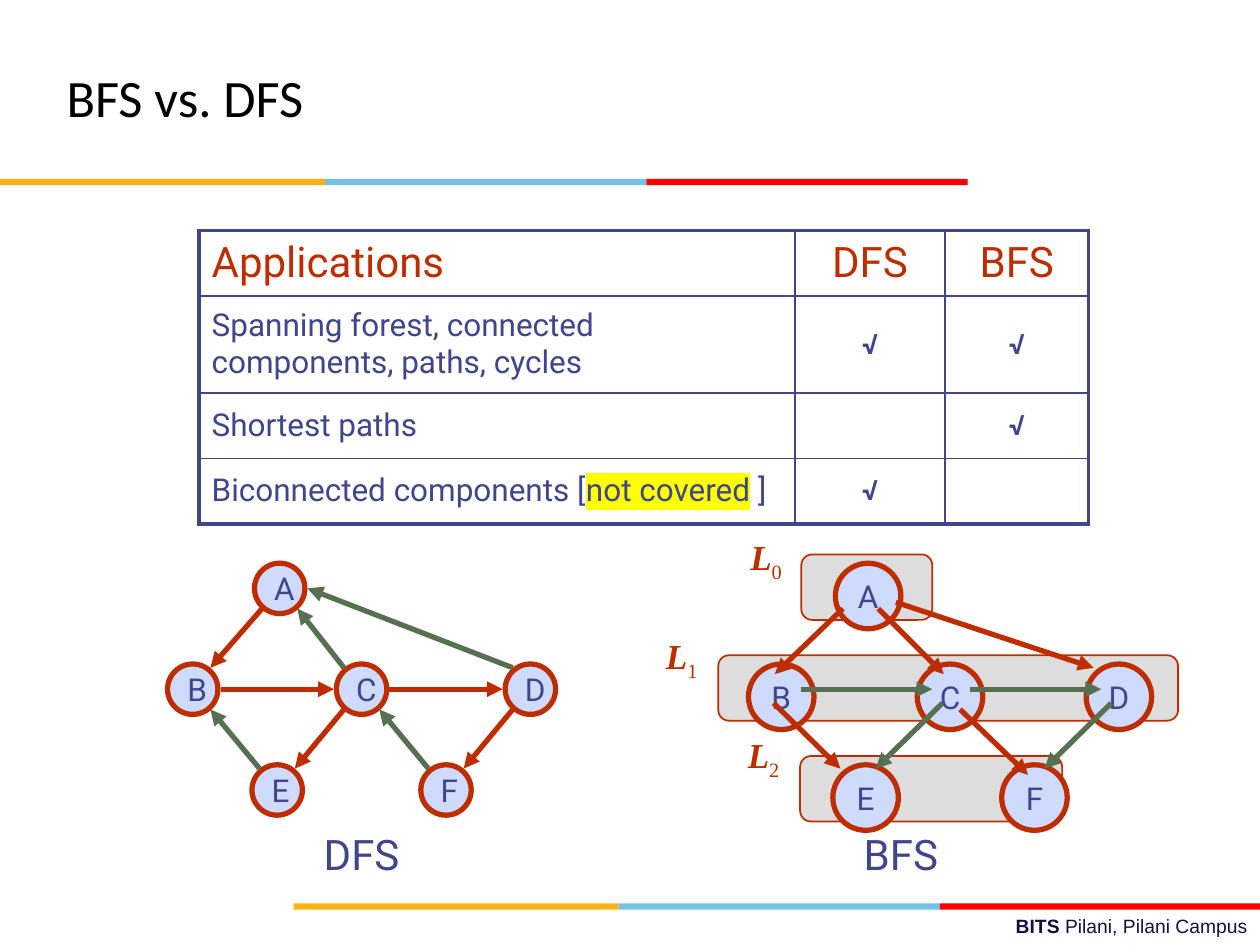
"""Build the slide comparing BFS and DFS applications and traversals."""
from lxml import etree
from pptx import Presentation, util as u
from pptx.dml.color import RGBColor
from pptx.enum import shapes, text
from pptx.oxml.ns import qn

COLORS = {"ink": "40458C", "red": "BE2D00", "green": "577052", "node": "CFDBFD",
          "level": "DDDDDD", "gold": "FCB017", "sky": "76C2E5", "bright": "FF0000",
          "navy": "101141", "black": "000000", "mark": "FFFF00"}
TITLE = "BFS vs. DFS"
FOOTER = ["BITS ", "Pilani, Pilani Campus"]
BANDS = [("gold", 2.58), ("sky", 2.55), ("bright", 2.55)]
BAND_STARTS = [(0, 1.42), (2.33, 7.17)]
TABLE = [
    [["Applications"], ["DFS"], ["BFS"]],
    [["Spanning forest, connected components, paths, cycles"], ["√"], ["√"]],
    [["Shortest paths"], [], ["√"]],
    [["Biconnected components [", "not covered", " ]"], ["√"], []],
]
COL_WIDTHS, ROW_HEIGHTS = [4.73, 1.19, 1.14], [0.52, 0.77, 0.52, 0.52]

NODES = {"C": (1, 0), "B": (0, 0), "A": (0.515, -1), "E": (0.5, 1), "D": (2, 0), "F": (1.5, 1)}
STEP_X, STEP_Y, MID_Y = 1.34, 0.8, 5.47
PORTS = {"nw": (-0.14, -0.17), "ne": (0.14, -0.17), "sw": (-0.14, 0.16), "se": (0.14, 0.16),
         "e": (0.22, 0), "w": (-0.22, 0), "n": (0.01, -0.12), "s": (0, 0.11),
         "inner": (-0.08, 0), "outer": (0.28, 0.11)}
GRAPHS = [
    {"name": "BFS", "left": 6.14, "size": 0.52, "shift": 0.06, "caption": 6.28, "edges": [
        ("A", "sw", "B", "n", "red"), ("B", "s", "E", "nw", "red"),
        ("C", "s", "E", "ne", "green"), ("A", "se", "C", "n", "red"),
        ("B", "e", "C", "inner", "green"), ("D", "s", "F", "ne", "green"),
        ("A", "outer", "D", "nw", "red"), ("C", "e", "D", "inner", "green"),
        ("C", "se", "F", "n", "red")]},
    {"name": "DFS", "left": 1.53, "size": 0.4, "shift": 0, "caption": 2, "edges": [
        ("A", "sw", "B", "ne", "red"), ("E", "nw", "B", "se", "green"),
        ("C", "sw", "E", "ne", "red"), ("C", "nw", "A", "se", "green"),
        ("B", "e", "C", "w", "red"), ("D", "sw", "F", "ne", "red"),
        ("D", "nw", "A", "e", "green"), ("C", "e", "D", "w", "red"),
        ("F", "nw", "C", "se", "green")]},
]
LEVELS = [("0", 6.36, 1.04, 5.82, 4.2), ("1", 5.7, 3.65, 5.15, 4.99), ("2", 6.35, 2.08, 5.8, 5.77)]


def rgb(name):
    return RGBColor.from_string(COLORS[name])


def write(tf, parts, size, font, color, align="LEFT", bold=False):
    p = tf.paragraphs[0]
    p.alignment = getattr(text.PP_ALIGN, align)
    for part in parts:
        r = p.add_run()
        r.text = part
        r.font.size, r.font.name, r.font.bold = u.Pt(size), font, bold
        r.font.color.rgb = rgb(color)
    return p.runs


def add_text(s, box, *args, **kwargs):
    tf = s.shapes.add_textbox(*map(u.Inches, box)).text_frame
    tf.word_wrap = True
    return tf, write(tf, *args, **kwargs)


def add_shape(s, kind, box, fill, line_width=0):
    sp = s.shapes.add_shape(kind, *map(u.Inches, box))
    sp.shadow.inherit = False
    sp.fill.solid()
    sp.fill.fore_color.rgb = rgb(fill)
    if line_width:
        sp.line.color.rgb, sp.line.width = rgb("red"), u.Pt(line_width)
    else:
        sp.line.fill.background()
    return sp


def add_arrow(s, start, end, color):
    ln = s.shapes.add_connector(shapes.MSO_CONNECTOR.STRAIGHT, *map(u.Inches, (*start, *end)))
    ln.line.color.rgb, ln.line.width = rgb(color), u.Pt(3)
    etree.SubElement(ln.line._get_or_add_ln(), qn("a:tailEnd"), type="triangle")
    etree.SubElement(ln._element.spPr, qn("a:effectLst"))


def add_bands(s):
    for x, y in BAND_STARTS:
        for color, width in BANDS:
            add_shape(s, shapes.MSO_SHAPE.RECTANGLE, (x, y, width, 0.05), color)
            x += width


def add_borders(cell, outer):
    tcPr = cell._tc.get_or_add_tcPr()
    for side, is_outer in zip("LRTB", outer):
        ln = etree.SubElement(tcPr, qn(f"a:ln{side}"), w=str(u.Pt(2.25 if is_outer else 1)))
        fill = etree.SubElement(ln, qn("a:solidFill"))
        etree.SubElement(fill, qn("a:srgbClr"), val=COLORS["ink"])


def highlight(r):
    mark = etree.Element(qn("a:highlight"))
    etree.SubElement(mark, qn("a:srgbClr"), val=COLORS["mark"])
    r.font._element.find(qn("a:solidFill")).addnext(mark)


def add_applications(s):
    n_rows, n_cols = len(ROW_HEIGHTS), len(COL_WIDTHS)
    box = (1.58, 1.83, sum(COL_WIDTHS), sum(ROW_HEIGHTS))
    table = s.shapes.add_table(n_rows, n_cols, *map(u.Inches, box)).table
    table.first_row = table.horz_banding = False
    for col, width in zip(table.columns, COL_WIDTHS):
        col.width = u.Inches(width)
    for i, parts_row in enumerate(TABLE):
        table.rows[i].height = u.Inches(ROW_HEIGHTS[i])
        for j, parts in enumerate(parts_row):
            cell = table.cell(i, j)
            add_borders(cell, (j == 0, j == n_cols - 1, i == 0, i == n_rows - 1))
            cell.fill.background()
            cell.vertical_anchor = text.MSO_ANCHOR.MIDDLE
            cell.margin_left = cell.margin_right = u.Inches(0.1)
            size = 24 if i == 0 else 16 if j else 18
            runs = write(cell.text_frame, parts, size, "Roboto", "ink" if i else "red",
                         "CENTER" if j else "LEFT", bold=bool(i and j))
            if len(runs) > 1:
                highlight(runs[1])


def add_levels(s):
    for row, (number, x, width, label_x, label_y) in reversed(list(enumerate(LEVELS))):
        add_shape(s, shapes.MSO_SHAPE.ROUNDED_RECTANGLE,
                  (x, 4.4 + row * STEP_Y, width, 0.52), "level", 1)
        _, (letter, sub) = add_text(s, (label_x, label_y, 0.52, 0.52), ["L", number], 20,
                                    "Times New Roman", "red", "CENTER")
        letter.font.bold = letter.font.italic = True
        sub.font._element.set("baseline", "-25000")


def add_graph(s, graph):
    size, shift = graph["size"], graph["shift"]
    anchors = {k: (graph["left"] + c * STEP_X, MID_Y + r * STEP_Y) for k, (c, r) in NODES.items()}
    for name, (x, y) in anchors.items():
        box = (x + shift - size / 2, y + shift - size / 2, size, size)
        sp = add_shape(s, shapes.MSO_SHAPE.OVAL, box, "node", 3)
        sp.text_frame.vertical_anchor = text.MSO_ANCHOR.MIDDLE
        write(sp.text_frame, [name], 18, "Roboto", "ink", "CENTER")
    for a, a_port, b, b_port, color in graph["edges"]:
        start, end = ([p + d for p, d in zip(anchors[n], PORTS[port])]
                      for n, port in ((a, a_port), (b, b_port)))
        add_arrow(s, start, end, color)
    add_text(s, (graph["caption"], 6.53, 1.74, 0.5), [graph["name"]], 24, "Roboto", "ink", "CENTER")


def main():
    prs = Presentation()
    prs.slide_width, prs.slide_height = u.Inches(10), u.Inches(7.5)
    s = prs.slides.add_slide(prs.slide_layouts[6])
    _, runs = add_text(s, (3.58, 7.21, 6.42, 0.29), FOOTER, 11, "Arial", "navy", "RIGHT")
    runs[0].font.bold = True
    add_bands(s)
    tf, _ = add_text(s, (0.43, 0.3, 6.69, 0.93), [TITLE], 30, "Calibri", "black")
    tf.vertical_anchor = text.MSO_ANCHOR.MIDDLE
    add_levels(s)
    for graph in GRAPHS:
        add_graph(s, graph)
    add_applications(s)
    prs.save("out.pptx")


if __name__ == "__main__":
    main()
